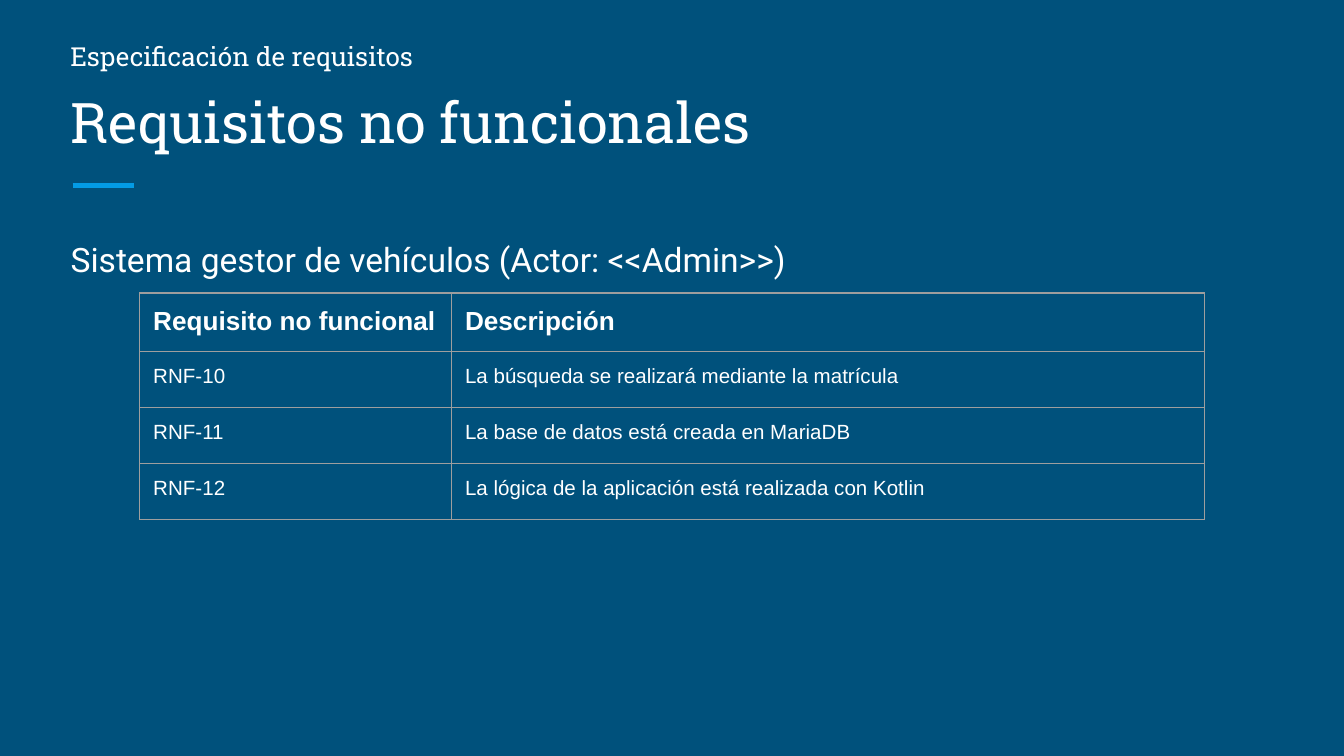
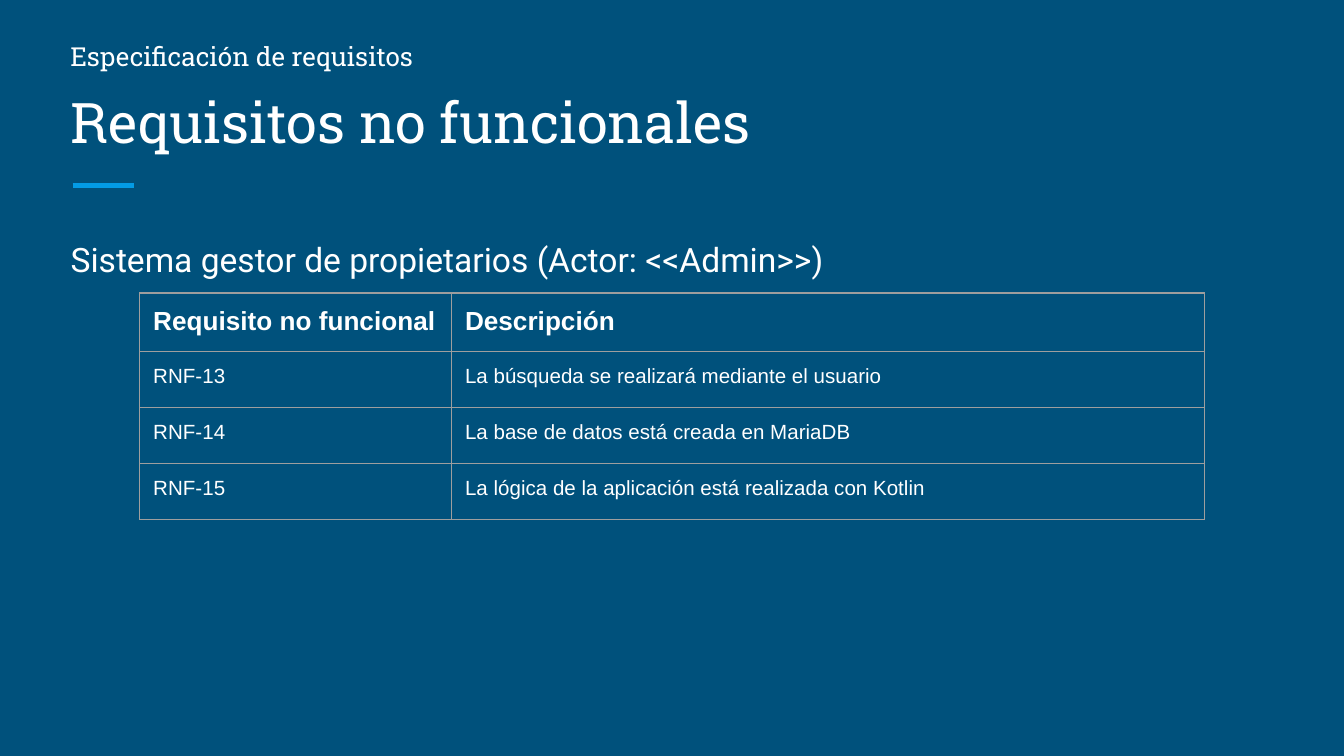
from pptx import Presentation
from pptx.dml.color import RGBColor
from pptx.enum.shapes import MSO_CONNECTOR
from pptx.enum.text import MSO_ANCHOR, MSO_AUTO_SIZE, PP_ALIGN
from pptx.oxml.ns import qn
from pptx.util import Inches, Pt
from lxml import etree

STRAIGHT = MSO_CONNECTOR.STRAIGHT
TOP, BOTTOM = MSO_ANCHOR.TOP, MSO_ANCHOR.BOTTOM
NO_AUTOFIT = MSO_AUTO_SIZE.NONE
FIT_SHAPE = MSO_AUTO_SIZE.SHAPE_TO_FIT_TEXT
LEFT = PP_ALIGN.LEFT

BACKGROUND = RGBColor(0x00, 0x51, 0x7C)
ACCENT = RGBColor(0x03, 0x9B, 0xE5)
WHITE = RGBColor(0xFF, 0xFF, 0xFF)
BORDER = RGBColor(0x9E, 0x9E, 0x9E)

HEADING_FONT = "Roboto Slab"
BODY_FONT = "Roboto"
TABLE_FONT = "Arial"

SLIDE_WIDTH = Inches(10)
SLIDE_HEIGHT = SLIDE_WIDTH * 9 // 16
CONTENT_WIDTH = Inches(9.15)
MARGIN = (SLIDE_WIDTH - CONTENT_WIDTH) // 2
PADDING = Inches(0.1)
COLUMN_WIDTHS = [Inches(2.32), Inches(5.6)]
ROW_HEIGHT = Inches(5) // 12

SECTION = "Especificación de requisitos"
TITLE = "Requisitos no funcionales"
HEADER = ("Requisito no funcional", "Descripción")
DATABASE = "La base de datos está creada en MariaDB"
LOGIC = "La lógica de la aplicación está realizada con Kotlin"
SYSTEMS = [
    ("Sistema gestor de vehículos (Actor: <<Admin>>)", 10,
     "La búsqueda se realizará mediante la matrícula"),
    ("Sistema gestor de propietarios (Actor: <<Admin>>)", 13,
     "La búsqueda se realizará mediante el usuario"),
]


def write_text(holder, text, font=TABLE_FONT, size=11, bold=False):
    holder.margin_left = holder.margin_right = PADDING
    holder.margin_top = holder.margin_bottom = PADDING
    frame = getattr(holder, "text_frame", holder)
    paragraph = frame.paragraphs[0]
    paragraph.alignment = LEFT
    run = paragraph.add_run()
    run.text = text
    run.font.name = font
    run.font.size = Pt(size)
    run.font.bold = bold
    run.font.color.rgb = WHITE
    return paragraph


def set_frame(shape, anchor=TOP, auto_size=NO_AUTOFIT):
    frame = shape.text_frame
    frame.word_wrap = True
    frame.auto_size = auto_size
    frame.vertical_anchor = anchor
    return frame


presentation = Presentation()
presentation.slide_width = SLIDE_WIDTH
presentation.slide_height = SLIDE_HEIGHT
master_fill = presentation.slide_master.background.fill
master_fill.solid()
master_fill.fore_color.rgb = BACKGROUND

for system, first_number, search in SYSTEMS:
    slide = presentation.slides.add_slide(presentation.slide_layouts[1])

    accent = slide.shapes.add_connector(
        STRAIGHT, Inches(0.54), Inches(1.38), Inches(1), Inches(1.38))
    accent.line.color.rgb = ACCENT
    accent.line.width = Pt(3)
    etree.SubElement(accent._element.spPr, qn("a:effectLst"))

    title = slide.shapes.title
    title.left, title.top = MARGIN, Inches(0.5)
    title.width, title.height = CONTENT_WIDTH, Inches(0.75)
    write_text(set_frame(title, anchor=BOTTOM), TITLE, font=HEADING_FONT, size=30)

    body = slide.placeholders[1]
    body.left, body.top = MARGIN, Inches(1.63)
    body.width, body.height = CONTENT_WIDTH, Inches(3.37)
    paragraph = write_text(set_frame(body), system, font=BODY_FONT, size=18)
    properties = paragraph._p.get_or_add_pPr()
    properties.set("marL", "0")
    properties.set("indent", "0")
    etree.SubElement(properties, qn("a:buNone"))
    paragraph.line_spacing = 1.15
    paragraph.space_before = Pt(0)
    paragraph.space_after = Pt(12)

    section = slide.shapes.add_textbox(MARGIN, Inches(0.2), Inches(4.57), Inches(0.44))
    write_text(set_frame(section, auto_size=FIT_SHAPE), SECTION,
               font=HEADING_FONT, size=14)

    descriptions = [search, DATABASE, LOGIC]
    rows = [HEADER] + [(f"RNF-{number}", description)
                       for number, description in enumerate(descriptions, first_number)]
    table = slide.shapes.add_table(
        len(rows), len(HEADER), Inches(1.04), Inches(2.18),
        sum(COLUMN_WIDTHS), ROW_HEIGHT * len(rows)).table
    table.first_row = False
    table.horz_banding = False
    for column, width in zip(table.columns, COLUMN_WIDTHS):
        column.width = width
    for row_index, row in enumerate(rows):
        is_header = row_index == 0
        for column_index, text in enumerate(row):
            cell = table.cell(row_index, column_index)
            write_text(cell, text, size=14 if is_header else 11, bold=is_header)
            properties = cell._tc.get_or_add_tcPr()
            for side in ("a:lnL", "a:lnR", "a:lnT", "a:lnB"):
                line = etree.SubElement(properties, qn(side), w=str(Pt(0.75)))
                fill = etree.SubElement(line, qn("a:solidFill"))
                etree.SubElement(fill, qn("a:srgbClr"), val=str(BORDER))
            cell.fill.background()

presentation.save("out.pptx")
